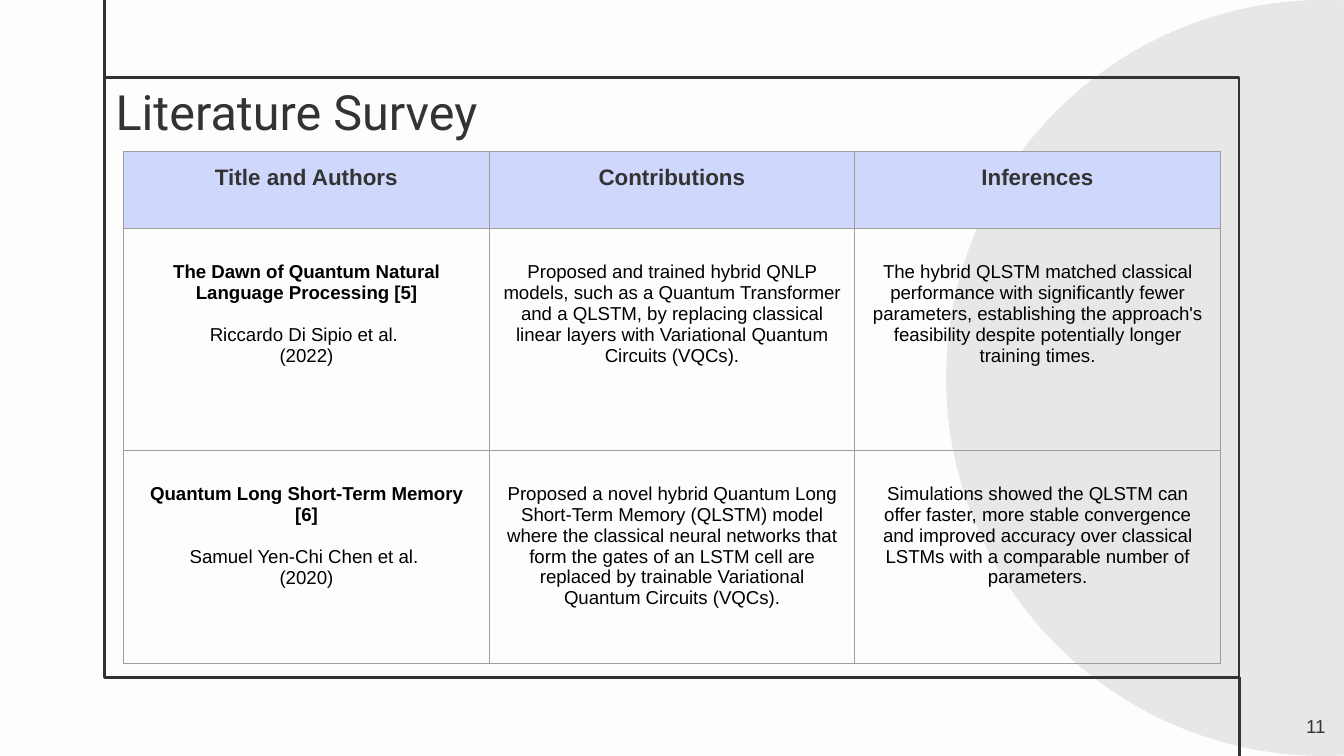
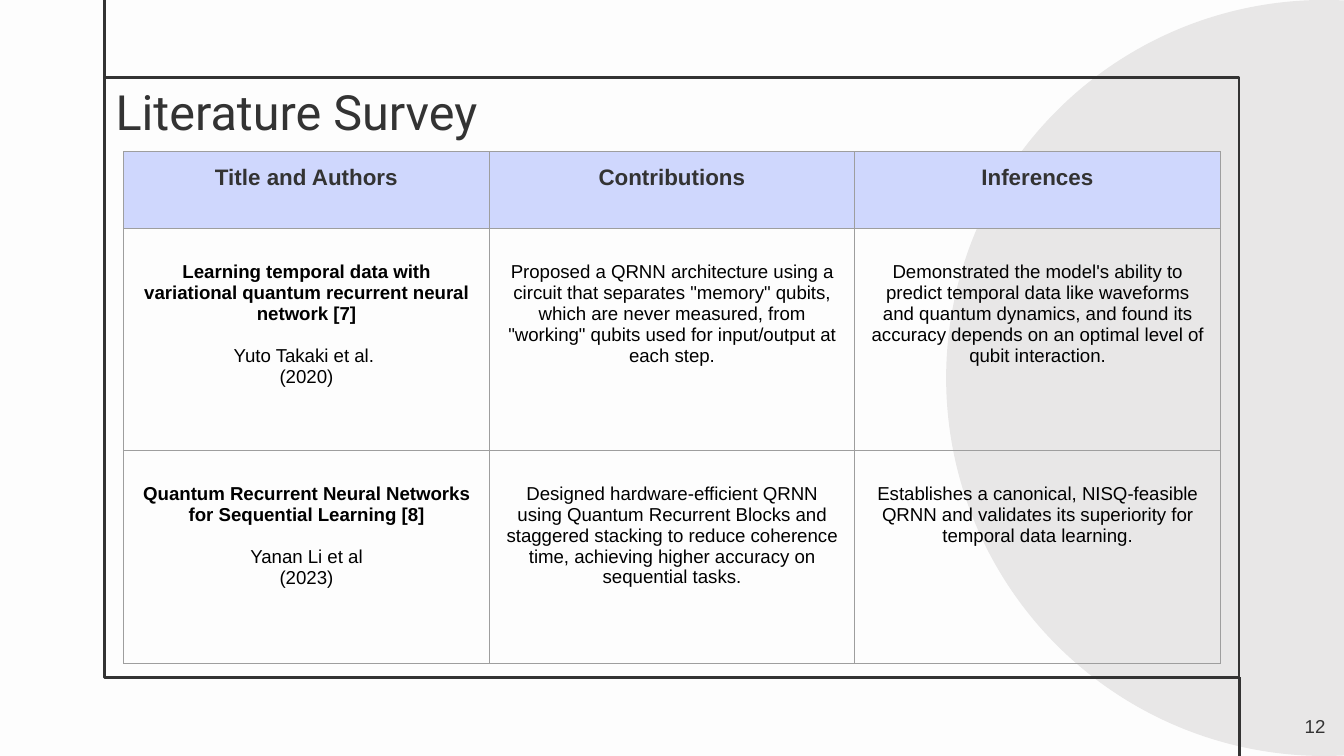
"""Build two literature survey slides with a shared frame and table style."""
from typing import NamedTuple

from pptx import Presentation
from pptx import util as u
from pptx.dml.color import RGBColor
from pptx.enum import shapes, text
from pptx.oxml import parse_xml
from pptx.oxml.ns import nsdecls, qn
from lxml import etree

INK, BLACK, PAPER, DISC = "333333", "000000", "FDFDFD", "E8E7E7"
HEADER_FILL, GRID = "CFD7FD", "9E9E9E"
BODY_FONT, TITLE_FONT = "Arial", "Roboto"
WIDTH = 10
HEIGHT = WIDTH * 9 / 16
LEFT, TOP, RIGHT, BOTTOM = 0.78, 0.58, 9.22, 5.04
INSET, BODY_INSET = 0.1, 0.25
AUTHOR_GAP = 11.2
FIRST_PAGE = 11
TITLE = "Literature Survey"
HEADERS = ("Title and Authors", "Contributions", "Inferences")
COLUMN_WIDTH = 2.72
ROW_HEIGHTS = (0.57, 1.65, 1.59)


class Paper(NamedTuple):
    """One row of the survey."""
    title: str
    authors: str
    year: str
    contribution: str
    inference: str


SURVEY = (
    (
        Paper(
            "The Dawn of Quantum Natural Language Processing [5]",
            "Riccardo Di Sipio et al. ", "(2022)",
            "Proposed and trained hybrid QNLP models, such as a Quantum Transformer and a QLSTM, "
            "by replacing classical linear layers with Variational Quantum Circuits (VQCs).",
            "The hybrid QLSTM matched classical performance with significantly fewer parameters, "
            "establishing the approach's feasibility despite potentially longer training times."),
        Paper(
            "Quantum Long Short-Term Memory [6]",
            "Samuel Yen-Chi Chen et al. ", "(2020)",
            "Proposed a novel hybrid Quantum Long Short-Term Memory (QLSTM) model where the "
            "classical neural networks that form the gates of an LSTM cell are replaced by "
            "trainable Variational Quantum Circuits (VQCs).",
            "Simulations showed the QLSTM can offer faster, more stable convergence and improved "
            "accuracy over classical LSTMs with a comparable number of parameters."),
    ),
    (
        Paper(
            "Learning temporal data with variational quantum recurrent neural network [7]",
            "Yuto Takaki et al. ", "(2020)",
            'Proposed a QRNN architecture using a circuit that separates "memory" qubits, which '
            'are never measured, from "working" qubits used for input/output at each step.',
            "Demonstrated the model's ability to predict temporal data like waveforms and quantum "
            "dynamics, and found its accuracy depends on an optimal level of qubit interaction."),
        Paper(
            "Quantum Recurrent Neural Networks for Sequential Learning [8]",
            "Yanan Li et al", "(2023)",
            "Designed hardware-efficient QRNN using Quantum Recurrent Blocks and staggered "
            "stacking to reduce coherence time, achieving higher accuracy on sequential tasks.",
            "Establishes a canonical, NISQ-feasible QRNN and validates its superiority for "
            "temporal data learning."),
    ),
)


def rgb(value: str) -> RGBColor:
    """Turn a hex string into a colour."""
    return RGBColor.from_string(value)


def write(p, words: str, *, size: float = 10, font: str = BODY_FONT, color: str = BLACK,
          bold: bool = False, align=text.PP_ALIGN.CENTER, before: float = 0) -> None:
    """Write one formatted run into a paragraph."""
    p.alignment = align
    p.space_before = u.Pt(before)
    r = p.add_run()
    r.text = words
    r.font.size, r.font.name, r.font.bold = u.Pt(size), font, bold
    r.font.color.rgb = rgb(color)


def set_insets(box, top: float = INSET) -> None:
    """Set the inner margins of a text frame or cell."""
    box.margin_left = box.margin_right = box.margin_bottom = u.Inches(INSET)
    box.margin_top = u.Inches(top)


def add_preset(s, kind, x: float, y: float, w: float, h: float, *,
               fill: str = "", line: str = "") -> None:
    """Add a preset shape with an optional fill and outline."""
    sp = s.shapes.add_shape(kind, u.Inches(x), u.Inches(y), u.Inches(w), u.Inches(h))
    sp.shadow.inherit = False
    if fill:
        sp.fill.solid()
        sp.fill.fore_color.rgb = rgb(fill)
    else:
        sp.fill.background()
    if line:
        sp.line.color.rgb = rgb(line)
        sp.line.width = u.Pt(1.5)
    else:
        sp.line.fill.background()


def add_rule(s, x: float, y1: float, y2: float) -> None:
    """Add a vertical line."""
    c = s.shapes.add_connector(shapes.MSO_CONNECTOR.STRAIGHT,
                               u.Inches(x), u.Inches(y1), u.Inches(x), u.Inches(y2))
    c.line.color.rgb = rgb(INK)
    c.line.width = u.Pt(1.5)
    etree.SubElement(c._element.spPr, qn("a:effectLst"))


def add_frame(s) -> None:
    """Add the disc, the frame and its two extensions."""
    add_preset(s, shapes.MSO_SHAPE.OVAL, 7.04, 0, HEIGHT, HEIGHT, fill=DISC)
    add_preset(s, shapes.MSO_SHAPE.RECTANGLE, LEFT, TOP, RIGHT - LEFT, BOTTOM - TOP, line=INK)
    add_rule(s, LEFT, TOP, 0)
    add_rule(s, RIGHT, BOTTOM, HEIGHT)


def set_title(s) -> None:
    """Place and format the title placeholder."""
    sp = s.shapes.title
    sp.left, sp.top, sp.width, sp.height = map(u.Inches, (0.76, TOP, 5.54, 0.56))
    tf = sp.text_frame
    tf.auto_size = text.MSO_AUTO_SIZE.NONE
    tf.vertical_anchor = text.MSO_ANCHOR.BOTTOM
    set_insets(tf)
    write(tf.paragraphs[0], TITLE, size=26, font=TITLE_FONT, color=INK,
          align=text.PP_ALIGN.LEFT)


def style_cell(cell, *, fill: str = "", top: float = INSET) -> None:
    """Set the fill, margins and borders of a cell."""
    set_insets(cell, top)
    cell.vertical_anchor = text.MSO_ANCHOR.TOP
    if fill:
        cell.fill.solid()
        cell.fill.fore_color.rgb = rgb(fill)
    else:
        cell.fill.background()
    tc_pr = cell._tc.get_or_add_tcPr()
    for i, side in enumerate("LRTB"):
        tc_pr.insert(i, parse_xml(
            f'<a:ln{side} {nsdecls("a")} w="{u.Pt(0.75)}"><a:solidFill>'
            f'<a:srgbClr val="{GRID}"/></a:solidFill></a:ln{side}>'))


def add_survey(s, papers: tuple[Paper, ...]) -> None:
    """Add the table of papers."""
    table = s.shapes.add_table(
        len(ROW_HEIGHTS), len(HEADERS), u.Inches(0.92), u.Inches(1.13),
        u.Inches(COLUMN_WIDTH * len(HEADERS)), u.Inches(sum(ROW_HEIGHTS))).table
    table.horz_banding = False
    for column in table.columns:
        column.width = u.Inches(COLUMN_WIDTH)
    for row, height in zip(table.rows, ROW_HEIGHTS):
        row.height = u.Inches(height)
    for cell, header in zip(table.rows[0].cells, HEADERS):
        style_cell(cell, fill=HEADER_FILL)
        write(cell.text_frame.paragraphs[0], header, size=12, color=INK, bold=True)
    for i, paper in enumerate(papers, 1):
        source, contribution, inference = table.rows[i].cells
        for cell in (source, contribution, inference):
            style_cell(cell, top=BODY_INSET)
        tf = source.text_frame
        write(tf.paragraphs[0], paper.title, bold=True)
        write(tf.add_paragraph(), paper.authors, before=AUTHOR_GAP)
        write(tf.add_paragraph(), paper.year)
        write(contribution.text_frame.paragraphs[0], paper.contribution)
        write(inference.text_frame.paragraphs[0], paper.inference)


def add_page_number(s, number: int) -> None:
    """Add the page number at the lower right."""
    sp = s.shapes.add_textbox(u.Inches(9.36), u.Inches(5.19), u.Inches(0.6), u.Inches(0.43))
    tf = sp.text_frame
    tf.word_wrap = True
    tf.vertical_anchor = text.MSO_ANCHOR.MIDDLE
    set_insets(tf)
    write(tf.paragraphs[0], str(number), color=INK, align=text.PP_ALIGN.RIGHT)


def main() -> None:
    """Build and save the presentation."""
    prs = Presentation()
    prs.slide_width, prs.slide_height = u.Inches(WIDTH), u.Inches(HEIGHT)
    background = prs.slide_master.background.fill
    background.solid()
    background.fore_color.rgb = rgb(PAPER)
    for number, papers in enumerate(SURVEY, FIRST_PAGE):
        s = prs.slides.add_slide(prs.slide_layouts[5])
        add_frame(s)
        set_title(s)
        add_survey(s, papers)
        add_page_number(s, number)
    prs.save("out.pptx")


if __name__ == "__main__":
    main()
